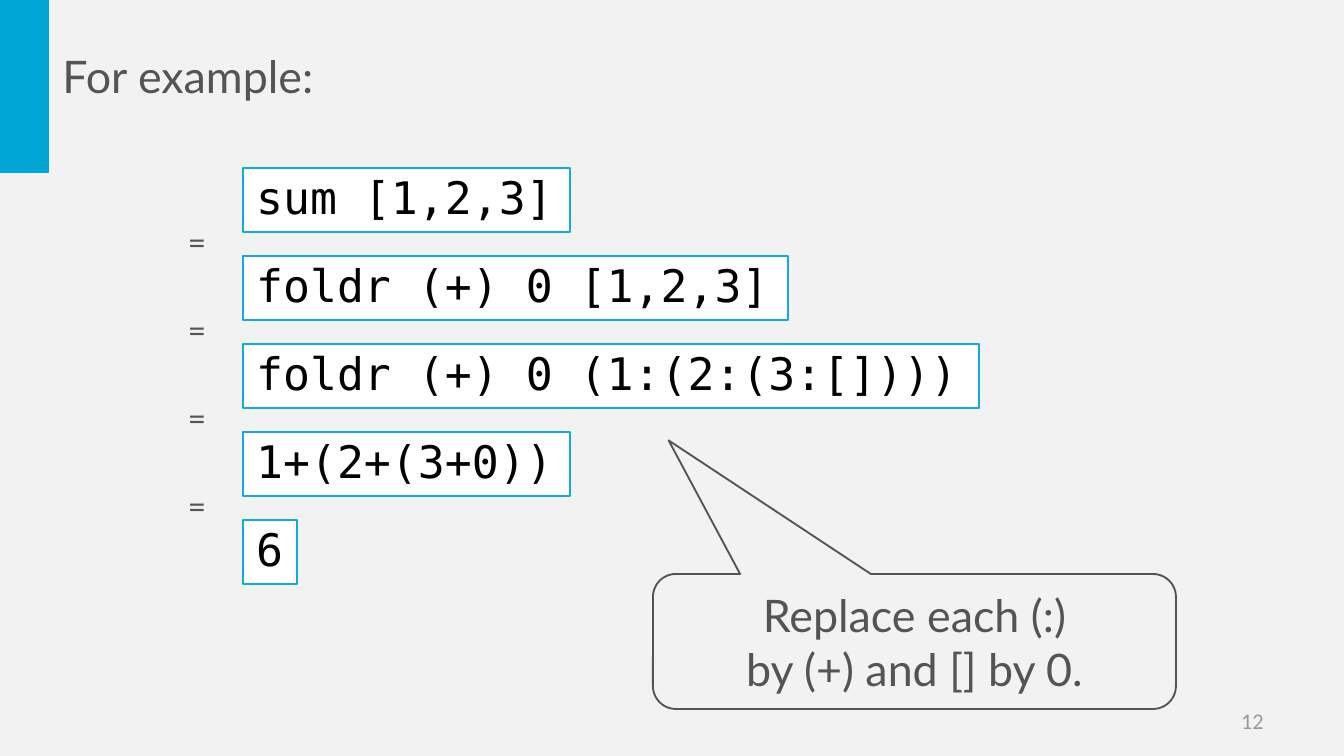
import dataclasses

import pptx
import pptx.dml.color
import pptx.enum.shapes
import pptx.enum.text
import pptx.util

EMU_PER_PX = 914400 / 134.4
SHAPES = pptx.enum.shapes.MSO_SHAPE
ALIGN = pptx.enum.text.PP_ALIGN
AUTO_SIZE = pptx.enum.text.MSO_AUTO_SIZE


def px(length):
    return pptx.util.Emu(round(length * EMU_PER_PX))


@dataclasses.dataclass(frozen=True)
class Theme:
    background: str = "F2F2F2"
    accent: str = "00A6D6"
    code_border: str = "15A8DB"
    code_fill: str = "FFFFFF"
    code_text: str = "000000"
    text: str = "545454"
    muted: str = "999999"
    heading_font: str = "Lato"
    label_font: str = "Calibri"
    code_font: str = "DejaVu Sans Mono"
    large: int = 24
    medium: int = 18
    small: int = 12


class SlideBuilder:
    def __init__(self, slide, theme):
        self.slide = slide
        self.theme = theme
        slide.background.fill.solid()
        slide.background.fill.fore_color.rgb = self.color(theme.background)

    def color(self, value):
        return pptx.dml.color.RGBColor.from_string(value)

    def set_text(self, shape, lines, font, size, color, align=ALIGN.LEFT,
                 wrap=True, auto_size=AUTO_SIZE.SHAPE_TO_FIT_TEXT, spacing=1.0):
        frame = shape.text_frame
        frame.text = "\n".join(lines)
        frame.word_wrap = wrap
        frame.auto_size = auto_size
        frame.vertical_anchor = pptx.enum.text.MSO_ANCHOR.MIDDLE
        for paragraph in frame.paragraphs:
            paragraph.alignment = align
            paragraph.line_spacing = spacing
            paragraph.font.name = font
            paragraph.font.size = pptx.util.Pt(size)
            paragraph.font.color.rgb = self.color(color)

    def box(self, kind, left, top, width, height, fill=None, line=None, weight=1):
        shape = self.slide.shapes.add_shape(kind, px(left), px(top), px(width), px(height))
        shape.shadow.inherit = False
        if fill:
            shape.fill.solid()
            shape.fill.fore_color.rgb = self.color(fill)
        else:
            shape.fill.background()
        if line:
            shape.line.color.rgb = self.color(line)
            shape.line.width = pptx.util.Pt(weight)
        else:
            shape.line.fill.background()
        return shape

    def title(self, text, left, top, width, height):
        title = self.slide.shapes.title
        title.left, title.top = px(left), px(top)
        title.width, title.height = px(width), px(height)
        self.set_text(title, [text], self.theme.heading_font, self.theme.large,
                      self.theme.text)

    def label(self, text, left, top, width, height, size, color, align, **options):
        label = self.slide.shapes.add_textbox(px(left), px(top), px(width), px(height))
        self.set_text(label, [text], self.theme.label_font, size, color, align, **options)

    def code(self, text, left, top, width, height, weight):
        shape = self.box(SHAPES.RECTANGLE, left, top, width, height,
                         self.theme.code_fill, self.theme.code_border, weight)
        self.set_text(shape, [text], self.theme.code_font, self.theme.large,
                      self.theme.code_text, wrap=False, spacing=0.9)

    def callout(self, lines, left, top, width, height, adjustments):
        shape = self.box(SHAPES.ROUNDED_RECTANGULAR_CALLOUT, left, top, width, height,
                         line=self.theme.text)
        for index, value in enumerate(adjustments):
            shape.adjustments[index] = value
        self.set_text(shape, lines, self.theme.heading_font, self.theme.large,
                      self.theme.text, ALIGN.CENTER)


def main():
    presentation = pptx.Presentation()
    presentation.slide_width = px(1344)
    presentation.slide_height = px(756)
    theme = Theme()
    slide = presentation.slides.add_slide(presentation.slide_layouts[5])
    builder = SlideBuilder(slide, theme)

    builder.box(SHAPES.RECTANGLE, 0, 0, 49, 173, fill=theme.accent)
    builder.title("For example:", 49, 42, 1191, 68)
    builder.label("12", 964, 701, 313, 40, theme.small, theme.muted,
                  ALIGN.RIGHT, auto_size=AUTO_SIZE.NONE)

    first_top, row_step = 168, 88
    steps = [
        ("sum [1,2,3]", 327),
        ("foldr (+) 0 [1,2,3]", 545),
        ("foldr (+) 0 (1:(2:(3:[])))", 736),
        ("1+(2+(3+0))", 327),
        ("6", 54),
    ]
    for index, (expression, width) in enumerate(steps):
        top = first_top + index * row_step
        builder.code(expression, 243, top, width, 64, 1 if index else 0.75)
        if index:
            builder.label("=", 175, top - 42, 44, 54, theme.medium, theme.text,
                          ALIGN.CENTER, wrap=False)

    builder.callout(["Replace each (:)", "by (+) and [] by 0."],
                    653, 574, 523, 135, (-0.47, -1.49, 0.17))
    presentation.save("out.pptx")


if __name__ == "__main__":
    main()
